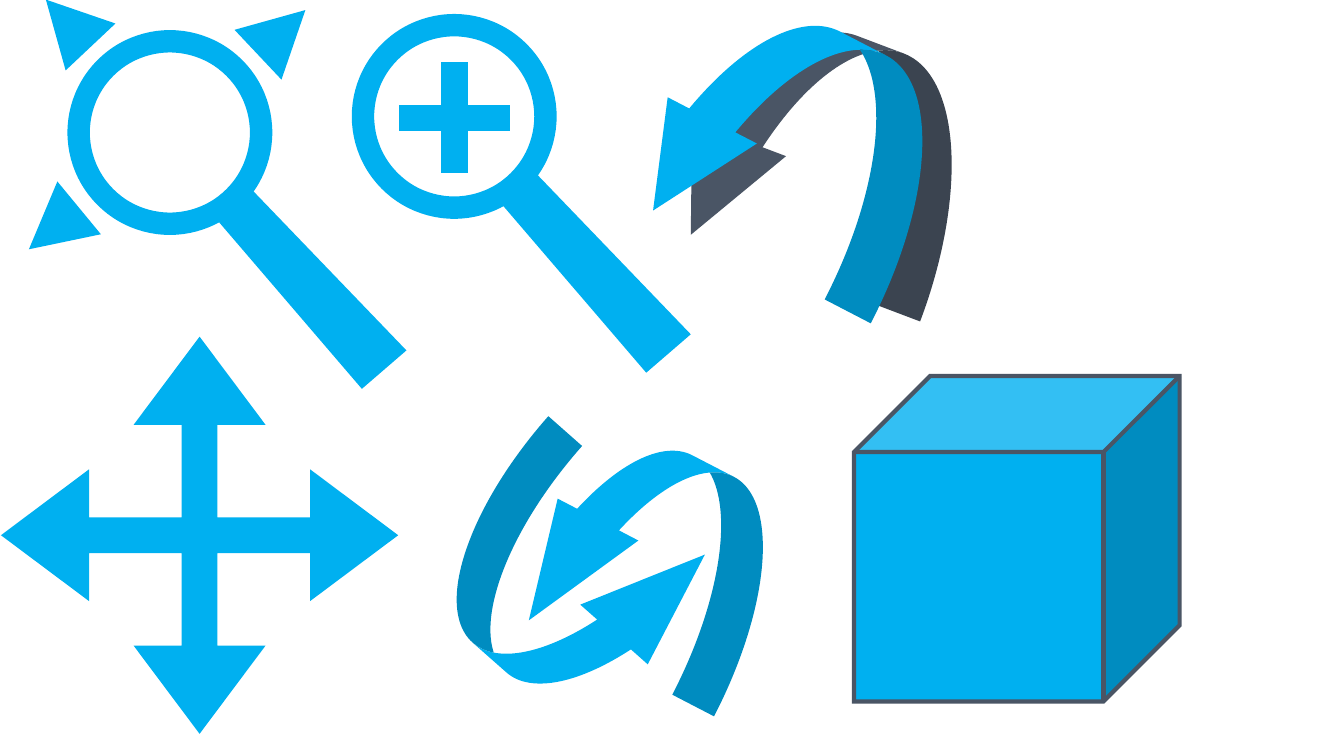
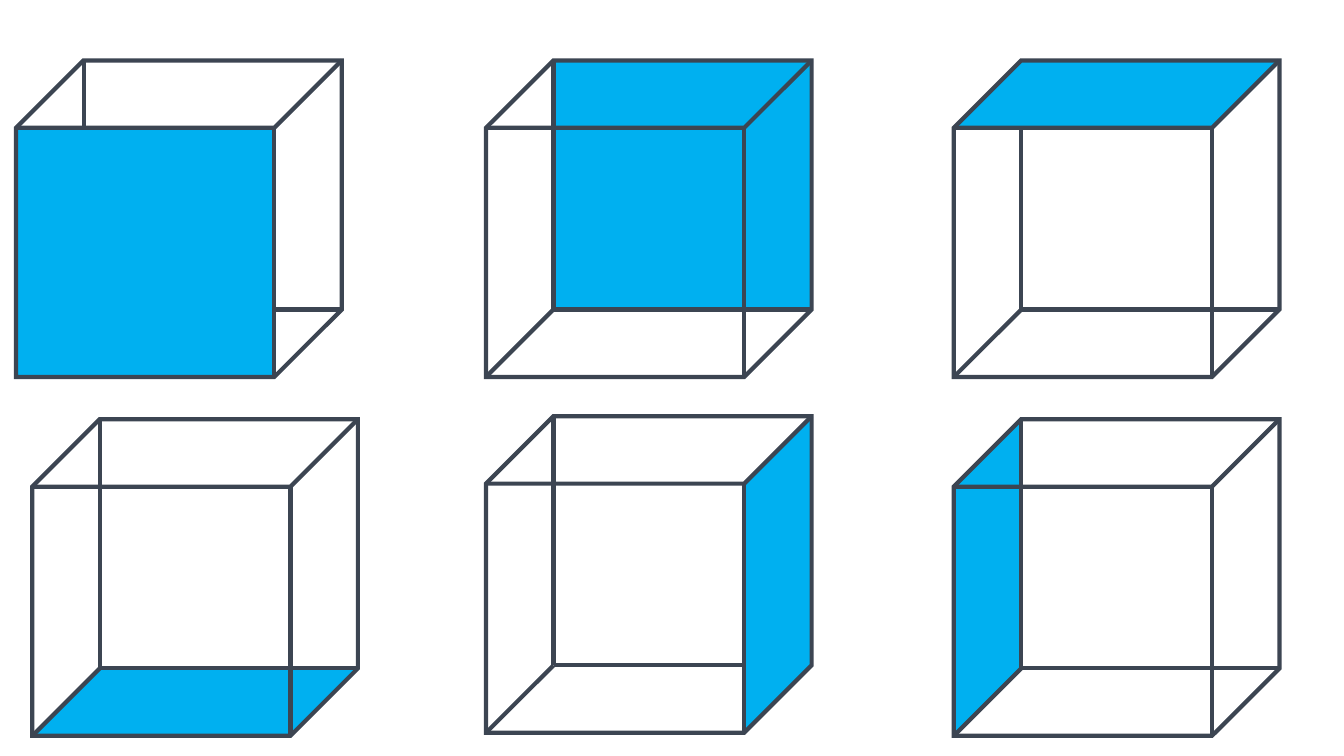
from dataclasses import dataclass

from lxml.etree import SubElement
from pptx import Presentation
from pptx.dml.color import RGBColor
from pptx.enum.shapes import MSO_CONNECTOR, MSO_SHAPE
from pptx.oxml.ns import qn
from pptx.util import Pt

PX = 9144  # EMU in one px, 100 px to the inch


@dataclass(frozen=True)
class Theme:
    blue: str = "00B0F0"
    slate: str = "4A5565"
    edge: str = "3C4552"
    hairline: int = 1
    outline: int = 3
    handle: int = 14
    lens: int = 16


THEME = Theme()

CUBE_W, CUBE_H = 323, 314
CUBE_ADJ = 0.213
DEPTH = round(CUBE_ADJ * CUBE_H)
FACE_W, FACE_H = CUBE_W - DEPTH, CUBE_H - DEPTH

# Corners of the front and back squares, clockwise from top left
FRONT = [(0, DEPTH), (FACE_W, DEPTH), (FACE_W, CUBE_H), (0, CUBE_H)]
BACK = [(x + DEPTH, y - DEPTH) for x, y in FRONT]
SLANTED_FACES = {
    "top": [FRONT[0], BACK[0], BACK[1], FRONT[1]],
    "bottom": [FRONT[3], BACK[3], BACK[2], FRONT[2]],
    "right": [FRONT[1], BACK[1], BACK[2], FRONT[2]],
    "left": [FRONT[0], BACK[0], BACK[3], FRONT[3]],
}
NEAR_FACES = ("front", "top", "right")

HANDLE = [(163, 152), (311, 306), (282, 331), (144, 170)]


def px(*values):
    return [v * PX for v in values]


def set_line(s, color, width):
    s.line.color.rgb = RGBColor.from_string(color)
    s.line.width = Pt(width)
    SubElement(s.line._get_or_add_ln(), qn("a:miter"), lim="800000")


def paint(s, fill=None, line=None, width=THEME.outline):
    """Set fill and line; None leaves either one empty."""
    s.shadow.inherit = False
    if fill:
        s.fill.solid()
        s.fill.fore_color.rgb = RGBColor.from_string(fill)
    else:
        s.fill.background()
    if line:
        set_line(s, line, width)
    else:
        s.line.fill.background()
    return s


def add_preset(shapes, kind, box, adj=(), rotation=0, flip=False, **style):
    s = shapes.add_shape(kind, *px(*box))
    for i, value in enumerate(adj):
        s.adjustments[i] = value
    s.rotation = rotation
    if flip:
        s.element.spPr.find(qn("a:xfrm")).set("flipH", "1")
    return paint(s, **style)


def add_polygon(shapes, points, x, y, **style):
    """Draw a closed outline whose points are offsets from x, y."""
    (x0, y0), *rest = [(x + dx, y + dy) for dx, dy in points]
    builder = shapes.build_freeform(x0, y0, scale=PX)
    builder.add_line_segments(rest, close=True)
    return paint(builder.convert_to_shape(), **style)


def add_edge(shapes, start, end):
    c = shapes.add_connector(MSO_CONNECTOR.STRAIGHT, *px(*start, *end))
    set_line(c, THEME.edge, THEME.outline)
    SubElement(c.element.spPr, qn("a:effectLst"))


def add_group(slide):
    return slide.shapes.add_group_shape().shapes


def add_magnifier(shapes, x, y):
    add_polygon(shapes, HANDLE, x, y, fill=THEME.blue, line=THEME.blue,
                width=THEME.handle)
    add_preset(shapes, MSO_SHAPE.OVAL, (x, y, 181, 181), line=THEME.blue,
               width=THEME.lens)


def add_curved_arrow(shapes, box, adj, rotation, color=THEME.blue):
    add_preset(shapes, MSO_SHAPE.CURVED_DOWN_ARROW, box, adj, rotation,
               flip=True, fill=color)


def add_face(shapes, name, x, y):
    style = dict(fill=THEME.blue, line=THEME.edge, width=THEME.hairline)
    if name in SLANTED_FACES:
        add_polygon(shapes, SLANTED_FACES[name], x, y, **style)
    else:
        dx, dy = FRONT[0] if name == "front" else BACK[0]
        add_preset(shapes, MSO_SHAPE.RECTANGLE,
                   (x + dx, y + dy, FACE_W, FACE_H), **style)


def add_wire_cube(slide, name, x, y):
    """Draw a see-through cube with one coloured face."""
    shapes = add_group(slide)
    if name not in NEAR_FACES:
        add_face(shapes, name, x, y)
    hidden = (x + BACK[3][0], y + BACK[3][1])
    for dx, dy in (BACK[0], BACK[2], FRONT[3]):
        add_edge(shapes, hidden, (x + dx, y + dy))
    if name in NEAR_FACES:
        add_face(shapes, name, x, y)
    add_preset(shapes, MSO_SHAPE.CUBE, (x, y, CUBE_W, CUBE_H), [CUBE_ADJ],
               line=THEME.edge)


def build_view_icons(slide):
    add_preset(slide.shapes, MSO_SHAPE.QUAD_ARROW, (1, 334, 394, 394),
               (0.09, 0.166, 0.222), fill=THEME.blue)

    zoom_extents = add_group(slide)
    for x, y, rotation in ((38, -5, 316.7), (248, 4, 46.7), (24, 197, 230.5)):
        add_preset(zoom_extents, MSO_SHAPE.ISOSCELES_TRIANGLE, (x, y, 61, 58),
                   rotation=rotation, fill=THEME.blue, line=THEME.blue)
    add_magnifier(zoom_extents, 78, 41)

    zoom_in = add_group(slide)
    add_magnifier(zoom_in, 360, 25)
    add_preset(zoom_in, MSO_SHAPE.CROSS, (398, 64, 106, 106), [0.396],
               fill=THEME.blue, line=THEME.blue)

    orbit = add_group(slide)
    add_curved_arrow(orbit, (521, 445, 252, 220), (0.212, 0.41, 0.547), 27.4)
    add_curved_arrow(orbit, (440, 469, 252, 218), (0.205, 0.41, 0.546), 221.5)

    turn = add_group(slide)
    add_curved_arrow(turn, (672, 32, 293, 243), (0.205, 0.41, 0.438), 20.7,
                     THEME.slate)
    add_curved_arrow(turn, (643, 24, 293, 243), (0.212, 0.41, 0.438), 27.4)

    add_preset(slide.shapes, MSO_SHAPE.CUBE, (847, 373, 323, 323), [0.234],
               fill=THEME.blue, line=THEME.slate)


def build_cube_faces(slide):
    for name, x, y in (
        ("front", 16, 60), ("back", 482, 60), ("top", 946, 60),
        ("bottom", 32, 416), ("right", 482, 413), ("left", 946, 416),
    ):
        add_wire_cube(slide, name, x, y)


def main():
    prs = Presentation()
    prs.slide_width, prs.slide_height = px(1333, 750)
    blank = prs.slide_layouts[6]
    for build in (build_view_icons, build_cube_faces):
        build(prs.slides.add_slide(blank))
    prs.save("out.pptx")


if __name__ == "__main__":
    main()
